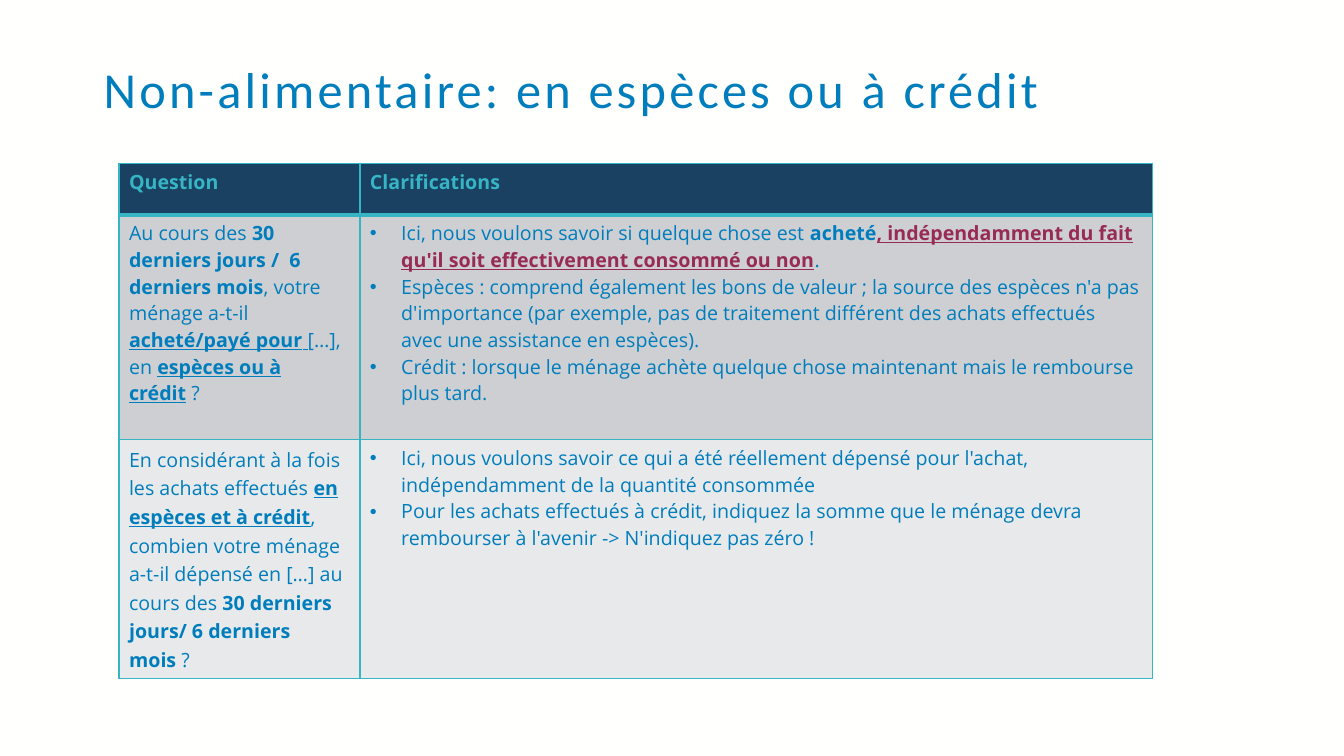
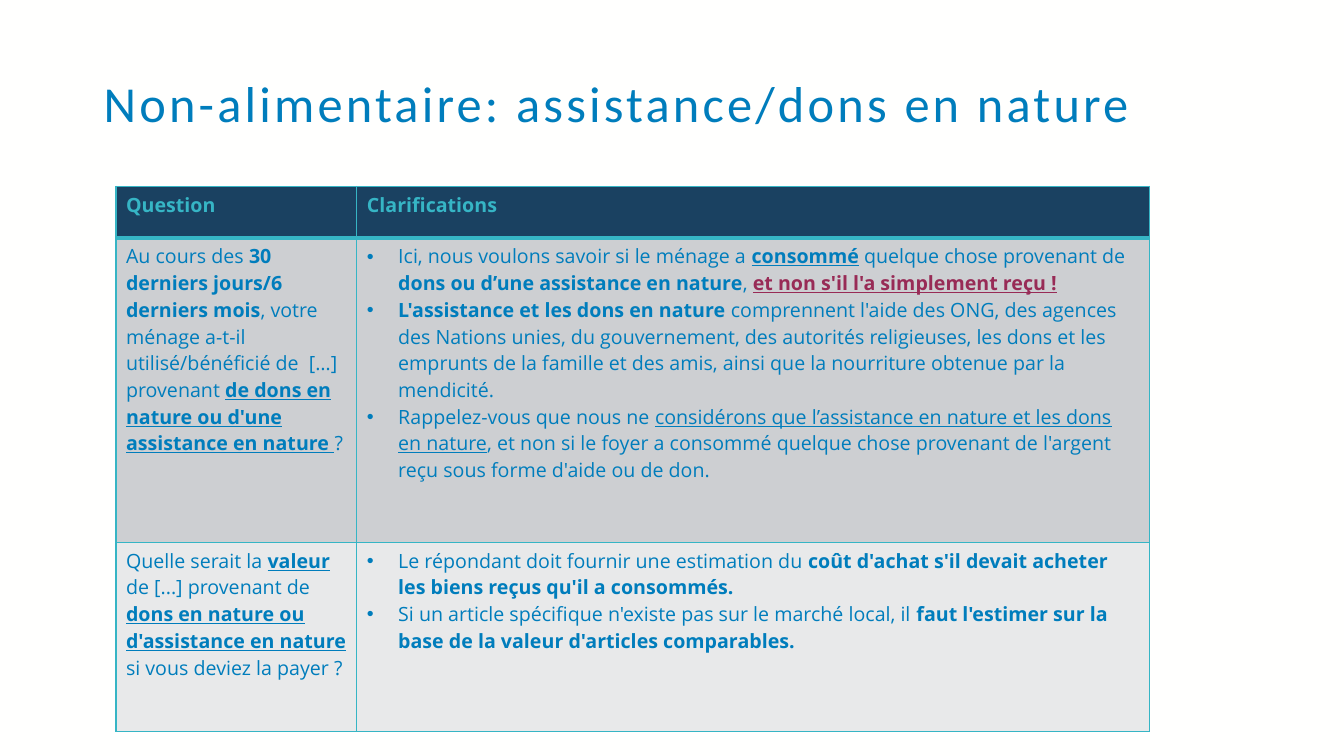
from lxml.etree import SubElement
from pptx import Presentation
from pptx.dml.color import RGBColor
from pptx.enum.text import MSO_ANCHOR, PP_ALIGN
from pptx.oxml import parse_xml
from pptx.oxml.ns import nsdecls, qn
from pptx.util import Inches, Pt

BACKGROUND, BLUE, TEAL, NAVY, RED = "FFFFFE", "007DBC", "36B5C5", "1A4161", "982B56"
ROW_FILLS = [NAVY, "CDCFD2", "E8E9EA"]
TITLE_FONT, BODY_FONT = "Calibri", "Open Sans"
COLUMN_WIDTHS = [2.39, 7.86]
HEADER_HEIGHT = 0.51
HEADERS = ["Question", "Clarifications"]
BULLET_INDENT = 0.31

# Run styles: b bold, u underlined, r red
SLIDES = [
    {
        "title": "Non-alimentaire: en espèces ou à crédit",
        "title_top": 0.6,
        "table_at": (1.18, 1.62),
        "row_heights": [2.23, 2.37],
        "loose_row": 2,
        "rows": [
            (
                [("Au cours des ", ""), ("30 derniers jours /  6 derniers mois", "b"),
                 (", votre ménage a-t-il ", ""), ("acheté/payé pour", "bu"), (" ", "u"),
                 ("[…], en ", ""), ("espèces ou à crédit", "bu"), (" ?", "")],
                [
                    [("Ici, nous voulons savoir si quelque chose est ", ""), ("acheté", "b"),
                     (", indépendamment du fait qu'il soit effectivement consommé ou non", "bur"),
                     (".", "")],
                    [("Espèces : comprend également les bons de valeur ; la source des espèces "
                      "n'a pas d'importance (par exemple, pas de traitement différent des achats "
                      "effectués avec une assistance en espèces).", "")],
                    [("Crédit : lorsque le ménage achète quelque chose maintenant mais le "
                      "rembourse plus tard.", "")],
                ],
            ),
            (
                [("En considérant à la fois les achats effectués ", ""),
                 ("en espèces et à crédit", "bu"),
                 (", combien votre ménage a-t-il dépensé en […] au cours des ", ""),
                 ("30 derniers jours/ 6 derniers mois ", "b"), ("?", "")],
                [
                    [("Ici, nous voulons savoir ce qui a été réellement dépensé pour l'achat, "
                      "indépendamment de la quantité consommée", "")],
                    [("Pour les achats effectués à crédit, indiquez la somme que le ménage devra "
                      "rembourser à l'avenir -> N'indiquez pas zéro !", "")],
                ],
            ),
        ],
    },
    {
        "title": "Non-alimentaire: assistance/dons en nature",
        "title_top": 0.73,
        "table_at": (1.15, 1.85),
        "row_heights": [3.02, 1.88],
        "loose_row": None,
        "rows": [
            (
                [("Au cours des ", ""), ("30 derniers jours/6 derniers mois", "b"),
                 (", votre ménage a-t-il utilisé/bénéficié de  […] provenant ", ""),
                 ("de dons en nature ou d'une assistance en nature ", "bu"), ("?", "")],
                [
                    [("Ici, nous voulons savoir si le ménage a ", ""), ("consommé", "bu"),
                     (" quelque chose provenant de ", ""),
                     ("dons ou d’une assistance en nature", "b"), (", ", ""),
                     ("et non s'il l'a simplement reçu !", "bur")],
                    [("L'assistance et les dons en nature", "b"),
                     (" comprennent l'aide des ONG, des agences des Nations unies, du "
                      "gouvernement, des autorités religieuses, les dons et les emprunts de la "
                      "famille et des amis, ainsi que la nourriture obtenue par la mendicité.", "")],
                    [("Rappelez-vous que nous ne ", ""),
                     ("considérons que l’assistance en nature et les dons en nature", "u"),
                     (", et non si le foyer a consommé quelque chose provenant de l'argent reçu "
                      "sous forme d'aide ou de don.", "")],
                ],
            ),
            (
                [("Quelle serait la ", ""), ("valeur", "bu"), (" de [...] provenant de ", ""),
                 ("dons en nature ou d'assistance en nature ", "bu"),
                 ("si vous deviez la payer ?", "")],
                [
                    [("Le répondant doit fournir une estimation du ", ""),
                     ("coût d'achat s'il devait acheter les biens reçus qu'il a consommés.", "b")],
                    [("Si un article spécifique n'existe pas sur le marché local, il ", ""),
                     ("faut l'estimer sur la base de la valeur d'articles comparables.", "b")],
                ],
            ),
        ],
    },
]


def color(value):
    """Turn a hex string into a colour."""
    return RGBColor.from_string(value)


def add_title(slide, text, top):
    """Add the letter-spaced slide title."""
    box = slide.shapes.add_textbox(Inches(0.93), Inches(top), Inches(11.53), Inches(1.26))
    frame = box.text_frame
    frame.word_wrap = True
    frame.vertical_anchor = MSO_ANCHOR.TOP
    frame.text = text
    paragraph = frame.paragraphs[0]
    paragraph.line_spacing = 0.9
    run = paragraph.runs[0]
    run.font.name, run.font.size = TITLE_FONT, Pt(36)
    run.font.color.rgb = color(BLUE)
    run.font._element.set("spc", "230")


def add_bullet(paragraph):
    """Give a paragraph a hanging round bullet."""
    properties = paragraph._p.get_or_add_pPr()
    indent = Inches(BULLET_INDENT)
    properties.set("marL", str(indent))
    properties.set("indent", str(-indent))
    SubElement(properties, qn("a:buFont"), typeface="Arial")
    SubElement(properties, qn("a:buChar"), char="•")


def write_runs(paragraph, runs, base_color=BLUE):
    """Write styled runs into a paragraph."""
    paragraph.alignment = PP_ALIGN.LEFT
    for text, style in runs:
        run = paragraph.add_run()
        run.text = text
        font = run.font
        font.name, font.size = BODY_FONT, Pt(14)
        font.bold, font.underline = "b" in style, "u" in style
        font.color.rgb = color(RED if "r" in style else base_color)


def set_borders(cell, row):
    """Draw teal cell borders with a heavy rule under the header."""
    widths = {"L": 1, "R": 1, "T": 3 if row == 1 else 1, "B": 3 if row == 0 else 1}
    properties = cell._tc.get_or_add_tcPr()
    for position, (side, width) in enumerate(widths.items()):
        properties.insert(position, parse_xml(
            f'<a:ln{side} {nsdecls("a")} w="{Pt(width)}"><a:solidFill>'
            f'<a:srgbClr val="{TEAL}"/></a:solidFill></a:ln{side}>'))


def add_question_table(slide, content):
    """Add the table of questions and clarifications."""
    heights = [HEADER_HEIGHT] + content["row_heights"]
    left, top = content["table_at"]
    table = slide.shapes.add_table(
        len(heights), len(COLUMN_WIDTHS), Inches(left), Inches(top),
        Inches(sum(COLUMN_WIDTHS)), Inches(sum(heights))).table
    table.horz_banding = False
    for column, width in zip(table.columns, COLUMN_WIDTHS):
        column.width = Inches(width)
    for row, height in enumerate(heights):
        table.rows[row].height = Inches(height)
        for column in range(len(COLUMN_WIDTHS)):
            cell = table.cell(row, column)
            cell.fill.solid()
            cell.fill.fore_color.rgb = color(ROW_FILLS[row])
            set_borders(cell, row)
    for column, header in enumerate(HEADERS):
        write_runs(table.cell(0, column).text_frame.paragraphs[0], [(header, "b")], TEAL)
    for row, (question, clarifications) in enumerate(content["rows"], start=1):
        paragraph = table.cell(row, 0).text_frame.paragraphs[0]
        write_runs(paragraph, question)
        if row == content["loose_row"]:
            paragraph.line_spacing = 1.07
            paragraph.space_after = Pt(8)
        frame = table.cell(row, 1).text_frame
        for index, runs in enumerate(clarifications):
            paragraph = frame.add_paragraph() if index else frame.paragraphs[0]
            add_bullet(paragraph)
            write_runs(paragraph, runs)


def main():
    """Build and save the presentation."""
    presentation = Presentation()
    presentation.slide_width, presentation.slide_height = Inches(13.33), Inches(7.5)
    background = presentation.slide_master.background.fill
    background.solid()
    background.fore_color.rgb = color(BACKGROUND)
    for content in SLIDES:
        slide = presentation.slides.add_slide(presentation.slide_layouts[6])
        add_title(slide, content["title"], content["title_top"])
        add_question_table(slide, content)
    presentation.save("out.pptx")


if __name__ == "__main__":
    main()
